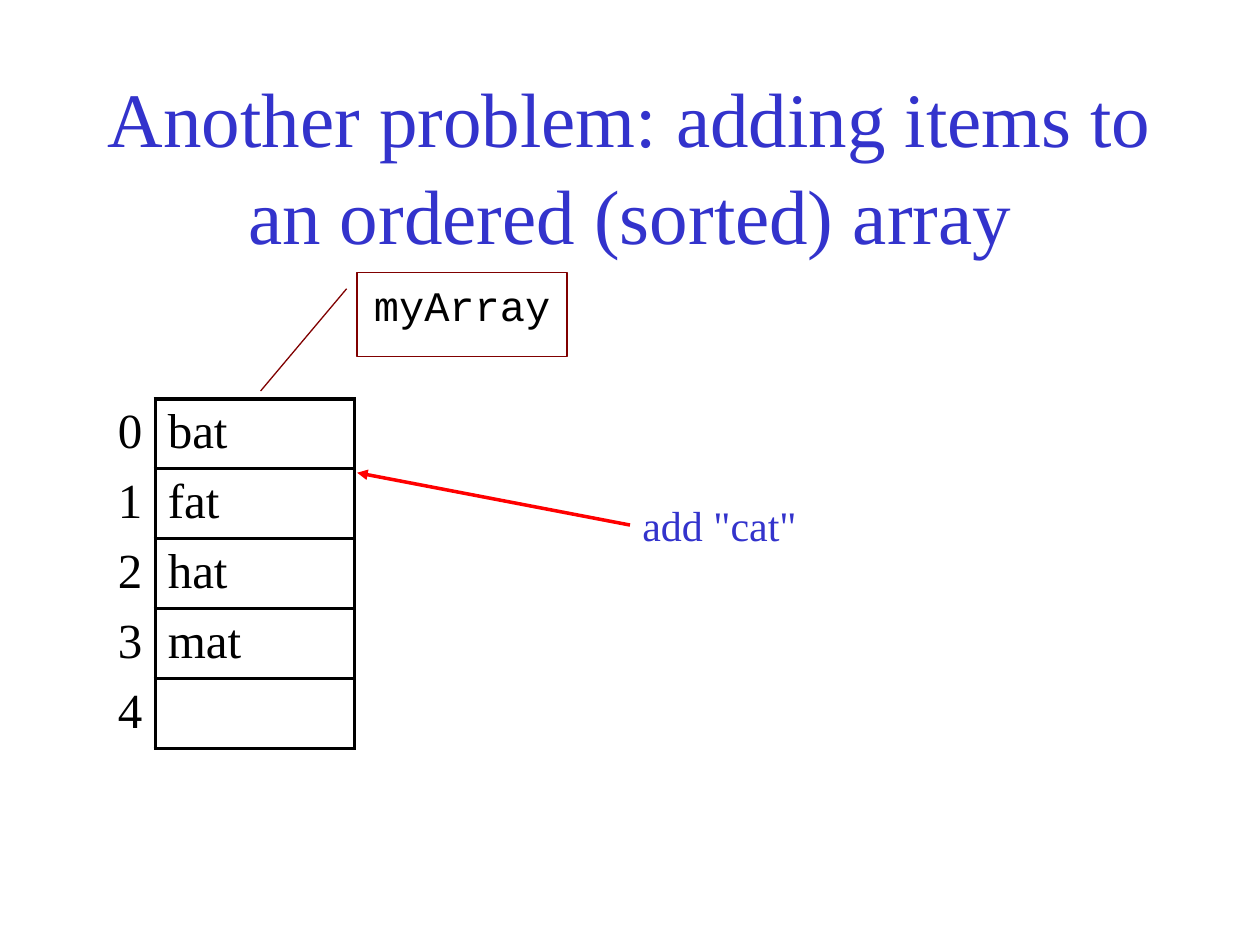
from lxml.etree import SubElement
from pptx import Presentation
from pptx.dml.color import RGBColor
from pptx.enum.shapes import MSO_CONNECTOR, MSO_SHAPE
from pptx.enum.text import MSO_ANCHOR, MSO_AUTO_SIZE, PP_ALIGN
from pptx.oxml.ns import qn
from pptx.util import Cm, Pt

SERIF = "Times New Roman"
BLACK, WHITE, BLUE, MAROON, RED = "000000", "FFFFFF", "3333CC", "800000", "FF0000"
ITEMS = ["bat", "fat", "hat", "mat", ""]
INDEX_W, ITEM_W, ROW_H = 1.01, 4.02, 1.41


def rgb(value):
    return RGBColor.from_string(value)


def write(tf, text, size, color=BLACK, name=SERIF, align=PP_ALIGN.LEFT):
    p = tf.paragraphs[0]
    p.alignment = align
    r = p.add_run()
    r.text = text
    for key, value in {"name": name, "size": Pt(size), "bold": False}.items():
        setattr(r.font, key, value)
    r.font.color.rgb = rgb(color)
    return p


def set_frame(tf, **values):
    for key, value in values.items():
        setattr(tf, key, value)


def set_borders(cell, borders):
    """Draw cell borders from a dict of side (L, R, T, B) to (colour, points)."""
    tc_pr = cell._tc.get_or_add_tcPr()
    for i, side in enumerate("LRTB"):
        color, width = borders[side]
        ln = tc_pr.makeelement(qn(f"a:ln{side}"), {"w": str(Pt(width))})
        fill = SubElement(ln, qn("a:solidFill"))
        SubElement(fill, qn("a:srgbClr"), val=color)
        tc_pr.insert(i, ln)


def add_title(slide, text):
    sp = slide.shapes.title
    sp.left, sp.top, sp.width, sp.height = Cm(1.9), Cm(1.7), Cm(21.6), Cm(3.18)
    set_frame(sp.text_frame, word_wrap=True, auto_size=MSO_AUTO_SIZE.NONE,
              vertical_anchor=MSO_ANCHOR.MIDDLE)
    p = write(sp.text_frame, text, 44, BLUE, align=PP_ALIGN.CENTER)
    p.line_spacing = 1.05


def add_array(slide, items, left, top):
    """Add a table with an open index column beside boxed items."""
    table = slide.shapes.add_table(
        len(items), 2, Cm(left), Cm(top),
        Cm(INDEX_W + ITEM_W), Cm(ROW_H * len(items))).table
    table.first_row = table.horz_banding = False
    for column, width in zip(table.columns, (INDEX_W, ITEM_W)):
        column.width = Cm(width)
    box = dict.fromkeys("LRTB", (BLACK, 2.25))
    open_box = dict.fromkeys("LTB", (WHITE, 1)) | {"R": (BLACK, 2.25)}
    for i, item in enumerate(items):
        table.rows[i].height = Cm(ROW_H)
        for j, (text, borders) in enumerate(((str(i), open_box), (item, box))):
            cell = table.cell(i, j)
            cell.fill.background()
            set_borders(cell, borders)
            if text:
                write(cell.text_frame, text, 28)


def add_callout(slide, text, left, top, width, height):
    sp = slide.shapes.add_shape(MSO_SHAPE.LINE_CALLOUT_1, Cm(left), Cm(top),
                                Cm(width), Cm(height))
    for i, value in enumerate((0.19, -0.05, 1.41, -0.46)):
        sp.adjustments[i] = value
    sp.shadow.inherit = False
    sp.fill.background()
    sp.line.color.rgb = rgb(MAROON)
    sp.line.width = Pt(0.75)
    set_frame(sp.text_frame, word_wrap=True, vertical_anchor=MSO_ANCHOR.TOP)
    write(sp.text_frame, text, 24, name="Courier New", align=PP_ALIGN.CENTER)


def add_label(slide, text, left, top, width, height):
    sp = slide.shapes.add_textbox(Cm(left), Cm(top), Cm(width), Cm(height))
    set_frame(sp.text_frame, word_wrap=True,
              auto_size=MSO_AUTO_SIZE.SHAPE_TO_FIT_TEXT)
    write(sp.text_frame, text, 24, BLUE)
    return sp


def add_arrow(slide, source, x, y):
    """Add an arrow from the left side of source to the point x, y."""
    line = slide.shapes.add_connector(
        MSO_CONNECTOR.STRAIGHT, source.left, source.top + source.height // 2,
        Cm(x), Cm(y))
    line.begin_connect(source, 1)
    line.line.color.rgb = rgb(RED)
    line.line.width = Pt(2)
    SubElement(line.line._get_or_add_ln(), qn("a:tailEnd"), type="triangle")
    SubElement(line._element.spPr, qn("a:effectLst"))


def main():
    prs = Presentation()
    prs.slide_width, prs.slide_height = Cm(25.4), Cm(19.05)
    slide = prs.slides.add_slide(prs.slide_layouts[5])
    add_title(slide, "Another problem: adding items to an ordered (sorted) array")
    add_array(slide, ITEMS, 2.12, 8.04)
    add_callout(slide, "myArray", 7.2, 5.5, 4.23, 1.69)
    label = add_label(slide, 'add "cat"', 12.7, 9.95, 4.23, 1.27)
    add_arrow(slide, label, 7.2, 9.53)
    prs.save("out.pptx")


if __name__ == "__main__":
    main()
